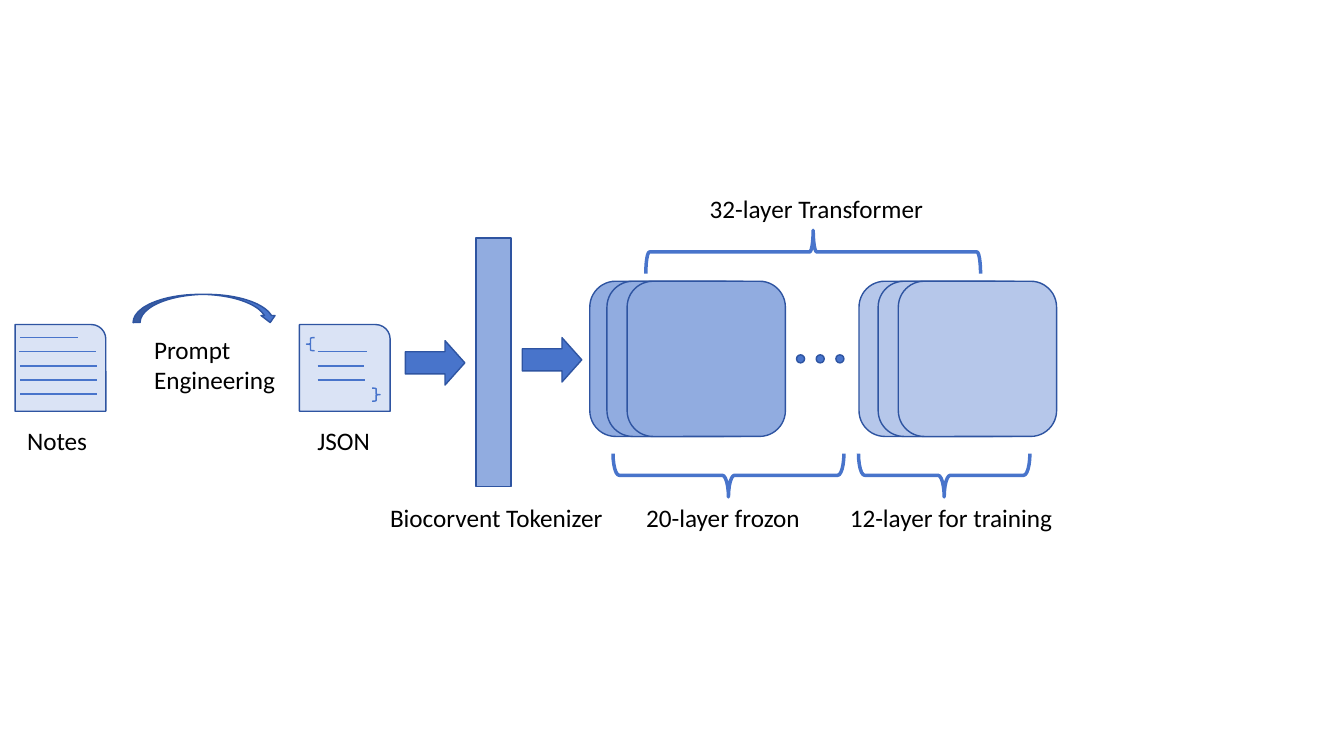
from dataclasses import dataclass

from lxml.etree import SubElement
from pptx import Presentation
from pptx.dml.color import RGBColor
from pptx.enum.shapes import MSO_CONNECTOR, MSO_SHAPE
from pptx.enum.text import MSO_AUTO_SIZE
from pptx.oxml.ns import qn
from pptx.shapes.autoshape import Shape
from pptx.slide import Slide
from pptx.util import Inches, Pt

COLORS = {
    "outline": "2E54A1",
    "accent": "4874CB",
    "frozen": "91ACE0",
    "trained": "B6C7EA",
    "paper": "DAE3F5",
    "text": "000000",
}
FONT = "Calibri"
LINE_ROWS = 1.4  # gap between the written lines on a sheet


@dataclass(frozen=True)
class Area:
    """Left and width in grid columns, top and height in grid rows."""
    left: float
    top: float
    width: float
    height: float


@dataclass(frozen=True)
class Block:
    kind: MSO_SHAPE
    area: Area
    color: str


@dataclass(frozen=True)
class Brace:
    """A brace whose area is the space it takes up after rotation."""
    area: Area
    rotation: int
    curve: float = 0.083
    weight: float = 2.5


@dataclass(frozen=True)
class Label:
    text: str
    left: float
    top: float


@dataclass(frozen=True)
class Stroke:
    start: float
    end: float
    row: float


def grid(cells: float) -> int:
    """Length of a number of grid cells, each a tenth of an inch."""
    return Inches(cells / 10)


def color(name: str) -> RGBColor:
    return RGBColor.from_string(COLORS[name])


def add_preset(page: Slide, kind: MSO_SHAPE, area: Area) -> Shape:
    shape = page.shapes.add_shape(
        kind, grid(area.left), grid(area.top), grid(area.width), grid(area.height))
    shape.shadow.inherit = False
    return shape


def add_block(page: Slide, block: Block) -> Shape:
    shape = add_preset(page, block.kind, block.area)
    shape.fill.solid()
    shape.fill.fore_color.rgb = color(block.color)
    shape.line.color.rgb = color("outline")
    shape.line.width = Pt(1)
    return shape


def add_brace(page: Slide, brace: Brace) -> None:
    area = brace.area
    if brace.rotation in (90, 270):
        shift = (area.width - area.height) / 2
        area = Area(area.left + shift, area.top - shift, area.height, area.width)
    shape = add_preset(page, MSO_SHAPE.LEFT_BRACE, area)
    shape.rotation = brace.rotation
    shape.adjustments[0] = brace.curve
    shape.fill.background()
    shape.line.color.rgb = color("accent")
    shape.line.width = Pt(brace.weight)


def add_stroke(page: Slide, stroke: Stroke) -> None:
    line = page.shapes.add_connector(
        MSO_CONNECTOR.STRAIGHT, grid(stroke.start), grid(stroke.row),
        grid(stroke.end), grid(stroke.row))
    line.line.color.rgb = color("accent")
    line.line.width = Pt(1)
    SubElement(line._element.spPr, qn("a:effectLst"))


def add_text(page: Slide, text: str, left: float, top: float, *, width: float = 44.4,
             size: float = 18, font: str = FONT, ink: str = "text") -> None:
    lines = text.split("\n")
    box = page.shapes.add_textbox(
        grid(left), grid(top), grid(width), grid(1 + 3 * len(lines)))
    frame = box.text_frame
    frame.word_wrap = True
    frame.auto_size = MSO_AUTO_SIZE.SHAPE_TO_FIT_TEXT
    for index, line in enumerate(lines):
        para = frame.paragraphs[0] if index == 0 else frame.add_paragraph()
        span = para.add_run()
        span.text = line
        span.font.name = font
        span.font.size = Pt(size)
        span.font.color.rgb = color(ink)


LAYERS = [
    Block(MSO_SHAPE.ROUNDED_RECTANGLE, Area(left, 27.9, 15.7, 15.4), shade)
    for shade, lefts in (("frozen", (58.5, 60.2, 62.2)), ("trained", (85.2, 87.1, 89.1)))
    for left in lefts
]
DOTS = [
    Block(MSO_SHAPE.FLOWCHART_CONNECTOR, Area(79 + 1.95 * index, 35.2, 0.8, 0.8), "accent")
    for index in range(3)
]
SHEETS = [
    Block(MSO_SHAPE.ROUND_1_RECTANGLE, Area(left, 32.2, 9, 8.6), "paper")
    for left in (1.5, 29.7)
]
PROMPT_ARROW = Block(MSO_SHAPE.CURVED_DOWN_ARROW, Area(13.2, 29.2, 14.3, 2.8), "accent")
TOKENIZER = Block(MSO_SHAPE.RECTANGLE, Area(47.2, 23.6, 3.5, 24.7), "frozen")
FLOW_ARROWS = [
    Block(MSO_SHAPE.RIGHT_ARROW, Area(left, top, 5.9, 4.4), "accent")
    for left, top in ((40.2, 33.8), (51.8, 33.5))
]
NOTE_ENDS = [(2, 7.7), (1.9, 9.5), (2, 9.6), (2, 9.6), (2, 9.6)]
JSON_ENDS = [(31.5, 36.4), (31.5, 36.1), (31.5, 36.2)]
STROKES = [
    Stroke(start, end, first_row + LINE_ROWS * index)
    for first_row, ends in ((33.5, NOTE_ENDS), (34.9, JSON_ENDS))
    for index, (start, end) in enumerate(ends)
]
BRACES = [
    Brace(Area(64.05, 22.85, 33.2, 4.3), 90),
    Brace(Area(85.15, 45, 17, 4.3), 270, curve=0.142),
    Brace(Area(60.8, 45, 22.9, 4.3), 270, curve=0.142),
    Brace(Area(30.4, 33.5, 0.8, 1.3), 0, weight=1),
    Brace(Area(36.9, 38.5, 0.8, 1.3), 180, weight=1),
]
LABELS = [
    Label("32-layer Transformer", 69.4, 18.7),
    Label("12-layer for training", 83.3, 49.3),
    Label("20-layer frozon", 63.1, 49.3),
    Label("Notes", 1.7, 41.7),
    Label("JSON", 30.5, 41.7),
    Label("Prompt\nEngineering", 14.3, 32.7),
    Label("Biocorvent Tokenizer", 37.7, 49.3),
]


def main() -> None:
    deck = Presentation()
    deck.slide_width = Inches(13.33)
    deck.slide_height = Inches(7.5)
    page = deck.slides.add_slide(deck.slide_layouts[6])

    for block in [*LAYERS, *DOTS, *SHEETS, PROMPT_ARROW, TOKENIZER]:
        add_block(page, block)
    for block in FLOW_ARROWS:
        add_block(page, block).adjustments[1] = 0.446
    for stroke in STROKES:
        add_stroke(page, stroke)
    for brace in BRACES:
        add_brace(page, brace)
    for label in LABELS:
        add_text(page, label.text, label.left, label.top)

    deck.save("out.pptx")


if __name__ == "__main__":
    main()
